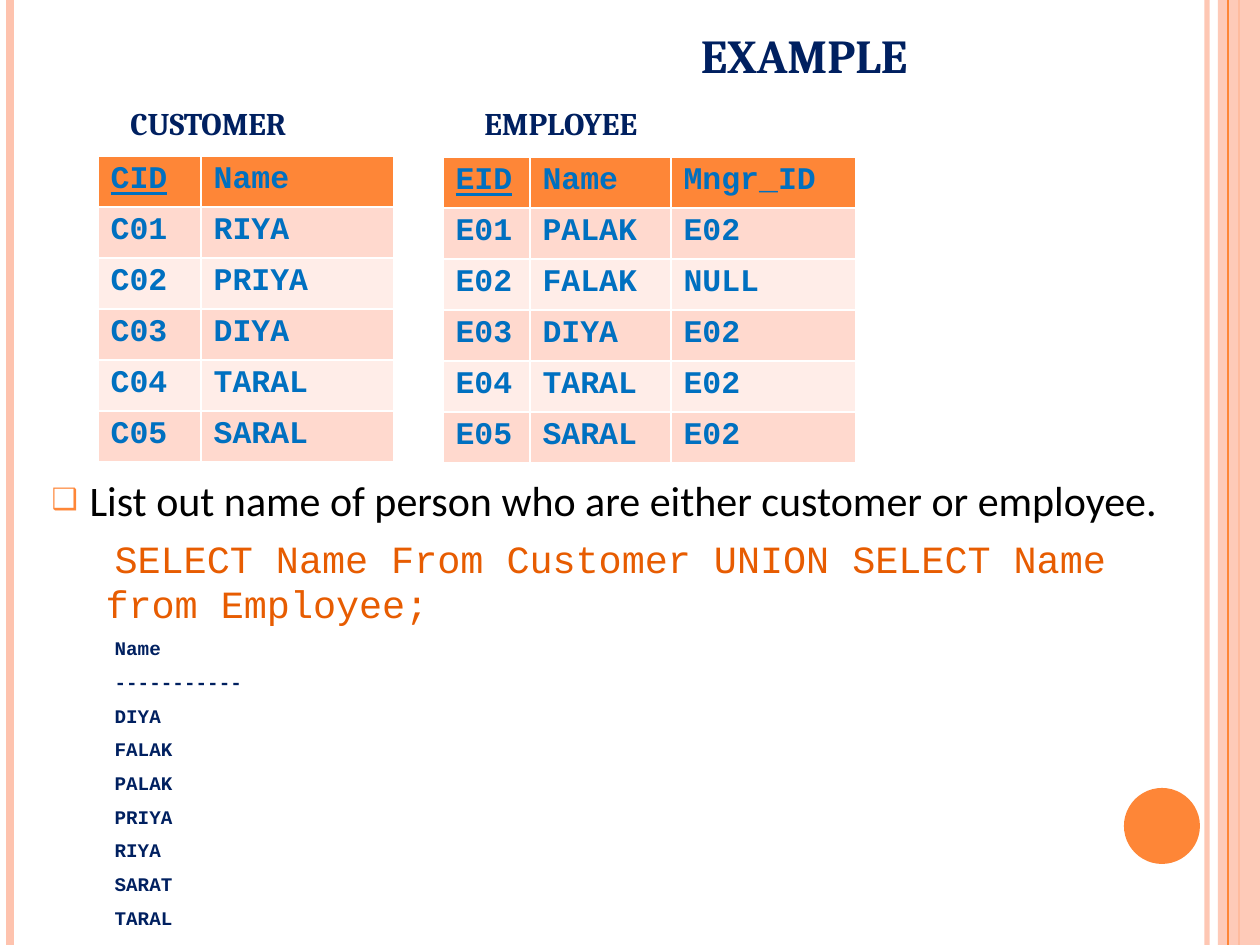
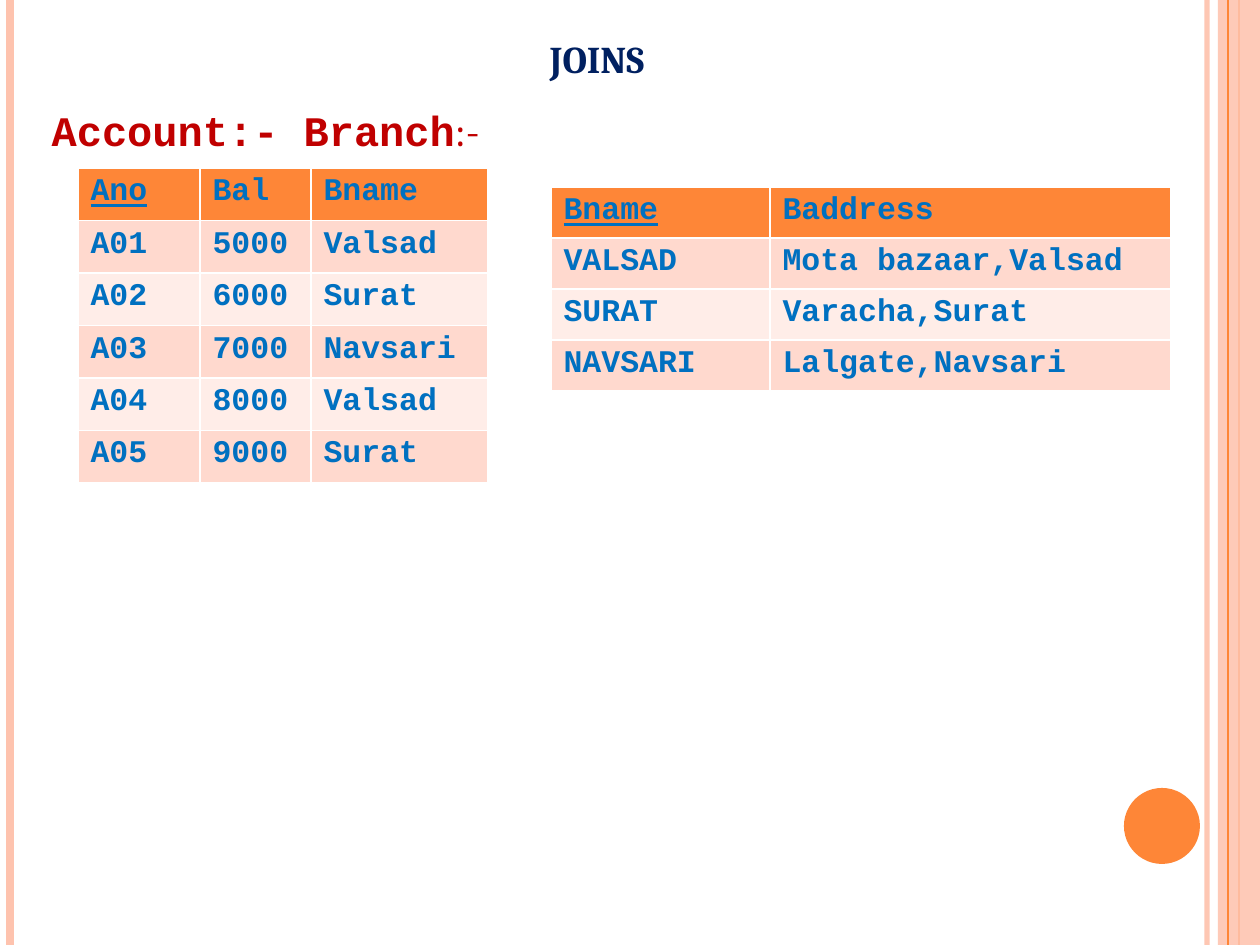
import pptx
import pptx.dml.color
import pptx.enum.shapes
import pptx.enum.text
import pptx.oxml.ns
import pptx.util
import lxml.etree

EMU_PER_PX = 914400 / 126
SLIDE_WIDTH, SLIDE_HEIGHT = 1260, 945
ORANGE, PEACH = "FE8637", "FEC3AE"
NAVY, CELL_BLUE, RED, QUERY_ORANGE, BLACK = "002060", "0070C0", "C00000", "E75C01", "000000"
ROW_BANDS = ("FFD9CE", "FFEDE8")
SERIF, SANS, MONO = "Cambria", "Calibri", "Courier New"
TITLE_BOX = (63, 20, 1068, 69)

CUSTOMERS = [("CID", "Name"), ("C01", "RIYA"), ("C02", "PRIYA"), ("C03", "DIYA"),
             ("C04", "TARAL"), ("C05", "SARAL")]
EMPLOYEES = [("EID", "Name", "Mngr_ID"), ("E01", "PALAK", "E02"), ("E02", "FALAK", "NULL"),
             ("E03", "DIYA", "E02"), ("E04", "TARAL", "E02"), ("E05", "SARAL", "E02")]
ACCOUNTS = [("Ano", "Bal", "Bname"), ("A01", "5000", "Valsad"), ("A02", "6000", "Surat"),
            ("A03", "7000", "Navsari"), ("A04", "8000", "Valsad"), ("A05", "9000", "Surat")]
BRANCHES = [("Bname", "Baddress"), ("VALSAD", "Mota bazaar,Valsad"),
            ("SURAT", "Varacha,Surat"), ("NAVSARI", "Lalgate,Navsari")]
QUESTION = "List out name of person who are either customer or employee."
QUERY = "SELECT Name From Customer UNION SELECT Name from Employee;"
QUERY_RESULT = ["Name", "-----------", "DIYA", "FALAK", "PALAK", "PRIYA", "RIYA", "SARAT", "TARAL"]


def px(length):
    """Turn a length in px into EMU."""
    return pptx.util.Emu(round(length * EMU_PER_PX))


def color(hex_string):
    """Return the colour for a hex string."""
    return pptx.dml.color.RGBColor.from_string(hex_string)


def add_xml(parent, tag, **attributes):
    """Append a drawing element with its attributes."""
    element = lxml.etree.SubElement(parent, pptx.oxml.ns.qn(tag))
    for name, value in attributes.items():
        element.set(name, str(value))
    return element


def set_font(font, name, size, hex_string, bold=False):
    """Set the face, size, colour and weight of a font."""
    font.name, font.size, font.bold = name, pptx.util.Pt(size), bold
    font.color.rgb = color(hex_string)


def set_indent(paragraph, left, first):
    """Set the left margin and first-line indent of a paragraph."""
    properties = paragraph._p.get_or_add_pPr()
    properties.set("marL", str(px(left)))
    properties.set("indent", str(px(first)))
    return properties


def set_opacity(fill_format_parent, percent):
    """Make the solid colour inside an element partly transparent."""
    rgb = next(fill_format_parent.iter(pptx.oxml.ns.qn("a:srgbClr")))
    add_xml(rgb, "a:alpha", val=percent * 1000)


def place(shape, box):
    """Move and size a shape to a box in px."""
    shape.left, shape.top, shape.width, shape.height = map(px, box)


def add_vertical_line(slide, x, hex_string, width, opacity=100):
    """Draw a line over the full slide height."""
    line = slide.shapes.add_connector(
        pptx.enum.shapes.MSO_CONNECTOR.STRAIGHT, px(x), 0, px(x), px(SLIDE_HEIGHT))
    line.line.color.rgb = color(hex_string)
    line.line.width = pptx.util.Pt(width)
    properties = line._element.spPr
    if opacity < 100:
        set_opacity(properties, opacity)
    add_xml(properties, "a:effectLst")


def add_plain_shape(slide, kind, box, hex_string):
    """Draw a filled shape without outline or shadow."""
    shape = slide.shapes.add_shape(kind, *map(px, box))
    shape.shadow.inherit = False
    shape.fill.solid()
    shape.fill.fore_color.rgb = color(hex_string)
    shape.line.fill.background()
    return shape


def add_decoration(slide):
    """Draw the side bands and the disc shared by all slides."""
    kinds = pptx.enum.shapes.MSO_SHAPE
    add_vertical_line(slide, 1207, PEACH, 3, 93)
    add_vertical_line(slide, 10, PEACH, 4.5)
    add_vertical_line(slide, 1239, ORANGE, 1.5)
    band = add_plain_shape(slide, kinds.RECTANGLE, (1218, 0, 42, SLIDE_HEIGHT), PEACH)
    set_opacity(band._element.spPr, 87)
    add_vertical_line(slide, 1228, ORANGE, 0.75)
    add_plain_shape(slide, kinds.OVAL, (1124, 788, 76, 76), ORANGE)


def add_title(slide, text, indent=0):
    """Fill the title placeholder in navy small capitals."""
    title = slide.shapes.title
    place(title, TITLE_BOX)
    frame = title.text_frame
    frame.text = text
    frame.auto_size = pptx.enum.text.MSO_AUTO_SIZE.NONE
    frame.vertical_anchor = pptx.enum.text.MSO_ANCHOR.BOTTOM
    paragraph = frame.paragraphs[0]
    paragraph.alignment = pptx.enum.text.PP_ALIGN.CENTER
    set_indent(paragraph, indent, 0)
    set_font(paragraph.font, SERIF, 27, NAVY, True)
    paragraph.font._element.set("cap", "small")


def start_slide(presentation, title, title_indent=0):
    """Add a slide with the shared decoration and title."""
    slide = presentation.slides.add_slide(presentation.slide_layouts[1])
    add_decoration(slide)
    add_title(slide, title, title_indent)
    return slide


def get_body(slide, box):
    """Place the body placeholder and return its text frame."""
    body = slide.placeholders[1]
    place(body, box)
    body.text_frame.auto_size = pptx.enum.text.MSO_AUTO_SIZE.NONE
    return body.text_frame


def add_label(slide, text, box):
    """Write the name of a table above it."""
    frame = slide.shapes.add_textbox(*map(px, box)).text_frame
    frame.word_wrap = True
    frame.text = text
    set_font(frame.paragraphs[0].font, SERIF, 18, NAVY, True)


def add_data_table(slide, rows, left, top, column_widths, height):
    """Draw a banded table whose first heading, the key, is underlined."""
    table = slide.shapes.add_table(
        len(rows), len(column_widths), px(left), px(top), px(sum(column_widths)), px(height)).table
    for column, width in zip(table.columns, column_widths):
        column.width = px(width)
    for row_index, values in enumerate(rows):
        table.rows[row_index].height = px(height / len(rows))
        background = ROW_BANDS[(row_index - 1) % 2] if row_index else ORANGE
        for column_index, value in enumerate(values):
            cell = table.cell(row_index, column_index)
            cell.text = value
            cell.fill.solid()
            cell.fill.fore_color.rgb = color(background)
            font = cell.text_frame.paragraphs[0].font
            set_font(font, MONO, 18, CELL_BLUE, True)
            font.underline = row_index == column_index == 0


def add_query(slide, box):
    """Write the question, its query and the query result."""
    frame = get_body(slide, box)
    question = frame.paragraphs[0]
    question.text = QUESTION
    properties = set_indent(question, 38, -38)
    add_xml(add_xml(properties, "a:buClr"), "a:srgbClr", val=ORANGE)
    add_xml(properties, "a:buSzPct", val=70000)
    add_xml(properties, "a:buChar", char="❑")
    question.space_before = pptx.util.Pt(0)
    set_font(question.font, SANS, 24, BLACK)
    lines = [(QUERY, 22, 26, QUERY_ORANGE, False)]
    lines += [(text, 11, 13.2, NAVY, True) for text in QUERY_RESULT]
    for text, size, line_height, hex_string, bold in lines:
        paragraph = frame.add_paragraph()
        paragraph.text = text
        add_xml(set_indent(paragraph, 54, 9), "a:buNone")
        paragraph.space_before = pptx.util.Pt(6)
        paragraph.line_spacing = pptx.util.Pt(line_height)
        set_font(paragraph.font, MONO, size, hex_string, bold)


def add_table_headings(slide, box, second_heading):
    """Write both table headings on one line, parted by a tab stop."""
    paragraph = get_body(slide, box).paragraphs[0]
    properties = set_indent(paragraph, 0, 0)
    add_xml(properties, "a:buNone")
    add_xml(add_xml(properties, "a:tabLst"), "a:tab", pos=px(second_heading), algn="l")
    paragraph.space_before = pptx.util.Pt(0)
    for text, name, bold in (("Account:-\tBranch", MONO, True), (":-", SERIF, False)):
        run = paragraph.add_run()
        run.text = text
        set_font(run.font, name, 24, RED, bold)


def build_example_slide(presentation):
    """Build the slide with the union example."""
    slide = start_slide(presentation, "EXAMPLE", 208)
    add_query(slide, (39, 468, 1182, 477))
    add_data_table(slide, CUSTOMERS, 98, 156, (103, 193), 306)
    add_label(slide, "CUSTOMER", (118, 98, 256, 50))
    add_data_table(slide, EMPLOYEES, 443, 157, (87, 141, 185), 306)
    add_label(slide, "EMPLOYEE", (472, 98, 256, 50))


def build_joins_slide(presentation):
    """Build the slide with the tables to join."""
    slide = start_slide(presentation, "joins")
    add_table_headings(slide, (39, 98, 1162, 816), 504)
    add_data_table(slide, ACCOUNTS, 78, 168, (122, 111, 177), 315)
    add_data_table(slide, BRANCHES, 551, 187, (219, 401), 204)


def main():
    """Build and save the presentation."""
    presentation = pptx.Presentation()
    presentation.slide_width, presentation.slide_height = px(SLIDE_WIDTH), px(SLIDE_HEIGHT)
    build_example_slide(presentation)
    build_joins_slide(presentation)
    presentation.save("out.pptx")


if __name__ == "__main__":
    main()
